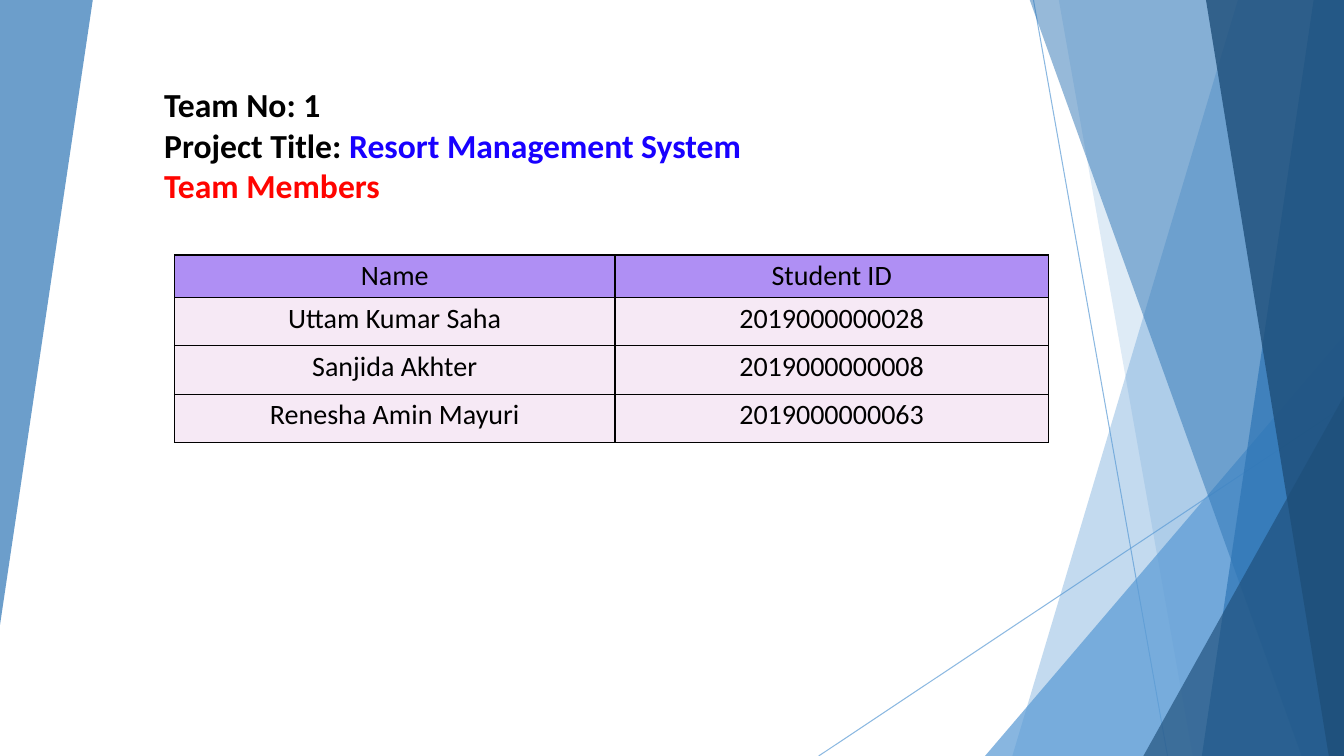
"""Build the team slide: title lines, member table and faceted blue side panels."""
import lxml.etree
import pptx
import pptx.dml.color
import pptx.enum.shapes
import pptx.enum.text
import pptx.oxml.ns
import pptx.util

Inches = pptx.util.Inches
RGBColor = pptx.dml.color.RGBColor
qn = pptx.oxml.ns.qn
TRIANGLE = pptx.enum.shapes.MSO_SHAPE.ISOSCELES_TRIANGLE

COLORS = {
    "light": "5B9BD5",
    "mid": "2E75B5",
    "dark": "1E4E79",
    "header": "AF8FF4",
    "row": "F6E9F5",
    "black": "000000",
    "blue": "1800FF",
    "red": "FF0400",
}
WIDTH, HEIGHT, TOP = 13.33, 7.5, -0.01


def paint(fill, color, opacity=100):
    fill.solid()
    fill.fore_color.rgb = RGBColor.from_string(COLORS[color])
    if opacity < 100:
        tint = fill._xPr.find(f".//{qn('a:srgbClr')}")
        lxml.etree.SubElement(tint, qn("a:alpha"), val=str(opacity * 1000))


def write(para, text, size=20, color="black", bold=False):
    span = para.add_run()
    span.text = text
    span.font.name = "Calibri"
    span.font.size = pptx.util.Pt(size)
    span.font.bold = bold
    span.font.color.rgb = RGBColor.from_string(COLORS[color])


deck = pptx.Presentation()
deck.slide_width, deck.slide_height = Inches(WIDTH), Inches(HEIGHT)
page = deck.slides.add_slide(deck.slide_layouts[6])

for ends in [(10.25, 0, 11.58, HEIGHT), (WIDTH, 4.03, 8.12, HEIGHT)]:
    ray = page.shapes.add_connector(
        pptx.enum.shapes.MSO_CONNECTOR.STRAIGHT, *map(Inches, ends))
    ray.line.width = pptx.util.Pt(0.75)
    paint(ray.line.fill, "light", 70)
    lxml.etree.SubElement(ray._element.spPr, qn("a:effectLst"))

panels = [
    ("band", (12.28, 10.04), "light", 36),
    ("band", (10.5, 11.83), "light", 20),
    ("triangle", (9.77, 3.33, 3.56, 4.17), "light", 72),
    ("band", (10.21, 12.91), "mid", 50),
    ("band", (13.03, 11.92), "mid", 70),
    ("band", (11.96, 13.18), "dark", 80),
    ("triangle", (11.34, 3.93, 1.99, 3.57), "dark", 66),
    ("left triangle", (0, 0, 0.92, 6.2), "mid", 70),
]
for kind, place, color, opacity in panels:
    if kind == "band":
        top_x, bottom_x = place
        corners = [(WIDTH, TOP), (WIDTH, HEIGHT), (bottom_x, HEIGHT)]
        outline = page.shapes.build_freeform(Inches(top_x), Inches(TOP))
        outline.add_line_segments([(Inches(x), Inches(y)) for x, y in corners])
        panel = outline.convert_to_shape()
    else:
        panel = page.shapes.add_shape(TRIANGLE, *map(Inches, place))
        panel.adjustments[0] = 1
        panel.rotation = 180 if kind == "left triangle" else 0
    panel.shadow.inherit = False
    panel.line.fill.background()
    paint(panel.fill, color, opacity)

members = [
    ("Name", "Student ID"),
    ("Uttam Kumar Saha", "2019000000028"),
    ("Sanjida Akhter", "2019000000008"),
    ("Renesha Amin Mayuri", "2019000000063"),
]
column_widths = [4.37, 4.3]
row_heights = [0.35, 0.48, 0.48, 0.48]
table = page.shapes.add_table(
    len(members), len(column_widths), Inches(1.73), Inches(2.53),
    Inches(sum(column_widths)), Inches(sum(row_heights))).table
for column, width in zip(table.columns, column_widths):
    column.width = Inches(width)
for index, (row, height, values) in enumerate(zip(table.rows, row_heights, members)):
    row.height = Inches(height)
    for cell, value in zip(row.cells, values):
        cell.margin_left = cell.margin_right = Inches(0.04)
        cell.margin_top = cell.margin_bottom = Inches(0.04)
        para = cell.text_frame.paragraphs[0]
        para.alignment = pptx.enum.text.PP_ALIGN.CENTER
        write(para, value)
        properties = cell._tc.get_or_add_tcPr()
        for side in ("a:lnL", "a:lnR", "a:lnT", "a:lnB"):
            border = lxml.etree.SubElement(properties, qn(side), w="12700")
            solid = lxml.etree.SubElement(border, qn("a:solidFill"))
            lxml.etree.SubElement(solid, qn("a:srgbClr"), val=COLORS["black"])
        paint(cell.fill, "header" if index == 0 else "row")

box = page.shapes.add_textbox(Inches(1.53), Inches(0.78), Inches(5.98), Inches(1.31))
frame = box.text_frame
frame.word_wrap = True
frame.auto_size = pptx.enum.text.MSO_AUTO_SIZE.SHAPE_TO_FIT_TEXT
frame.vertical_anchor = pptx.enum.text.MSO_ANCHOR.MIDDLE
title_lines = [
    [("Team No: 1", "black")],
    [("Project Title: ", "black"), ("Resort Management System", "blue")],
    [("Team Members", "red")],
]
for index, pieces in enumerate(title_lines):
    para = frame.add_paragraph() if index else frame.paragraphs[0]
    for text, color in pieces:
        write(para, text, size=24, color=color, bold=True)

deck.save("out.pptx")
